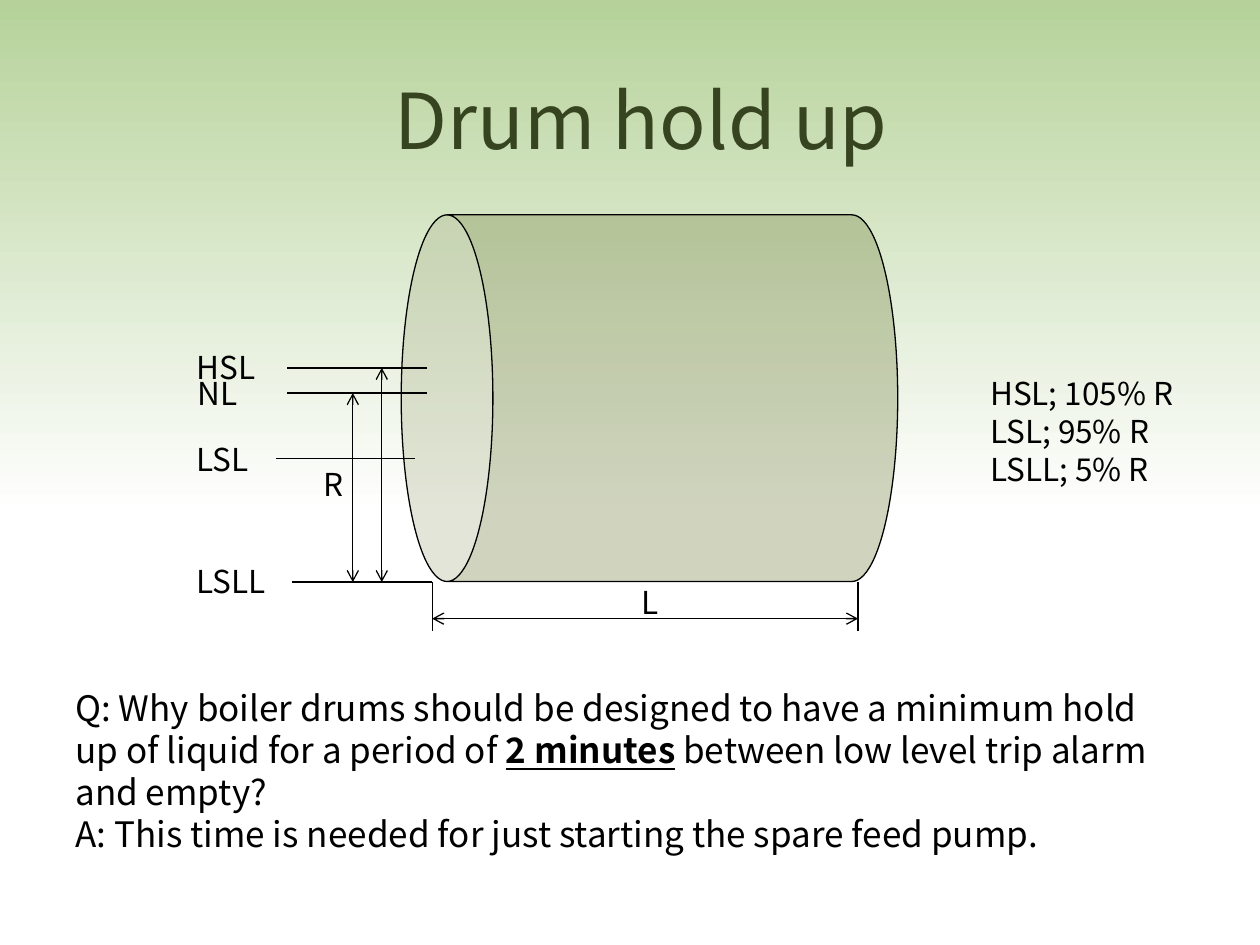
from dataclasses import dataclass

from lxml import etree
from pptx import Presentation
from pptx.dml.color import RGBColor
from pptx.enum import shapes, text
from pptx.oxml.ns import qn
from pptx.util import Inches, Pt


@dataclass(frozen=True)
class Theme:
    font: str = "Noto Sans CJK KR"
    ink: str = "000000"
    heading: str = "374420"
    sky_top: str = "B6D29A"
    sky_bottom: str = "FFFFFF"
    drum: str = "798547"
    drum_alpha: int = 35
    line_width: float = 0.75
    title_size: int = 44
    body_size: int = 20
    label_size: int = 18


@dataclass(frozen=True)
class Span:
    words: str
    strong: bool = False


@dataclass(frozen=True)
class TextBlock:
    left: float
    top: float
    width: float
    height: float
    paragraphs: tuple[tuple[Span, ...], ...]
    wrap: bool = False


@dataclass(frozen=True)
class Rule:
    start: tuple[float, float]
    end: tuple[float, float]
    arrows: bool = False


THEME = Theme()

HIGH, NORMAL, LOW, EMPTY = 2.92, 3.12, 3.64, 4.62
DRUM_LEFT, DRUM_RIGHT = 3.43, 6.81
LENGTH_Y, WITNESS_END = 4.91, 5.01
LABEL_HEIGHT = 0.4

RULES = (
    Rule((2.32, EMPTY), (DRUM_LEFT, EMPTY)),
    Rule((2.28, NORMAL), (3.39, NORMAL)),
    Rule((2.19, LOW), (3.29, LOW)),
    Rule((2.28, HIGH), (3.39, HIGH)),
    Rule((2.8, NORMAL), (2.8, EMPTY), arrows=True),
    Rule((3.03, HIGH), (3.03, EMPTY), arrows=True),
    Rule((DRUM_LEFT, EMPTY), (DRUM_LEFT, WITNESS_END)),
    Rule((DRUM_RIGHT, EMPTY), (DRUM_RIGHT, WITNESS_END)),
    Rule((DRUM_LEFT, LENGTH_Y), (DRUM_RIGHT, LENGTH_Y), arrows=True),
)


def label(words: str, left: float, top: float, width: float) -> TextBlock:
    return TextBlock(left, top, width, LABEL_HEIGHT, ((Span(words),),))


LABELS = (
    label("R", 2.47, 3.64, 0.37),
    label("L", 4.99, 4.58, 0.34),
    label("LSL", 1.46, 3.44, 0.63),
    label("LSLL", 1.46, 4.41, 0.77),
    label("NL", 1.47, 2.92, 0.52),
    label("HSL", 1.46, 2.71, 0.68),
    TextBlock(7.76, 2.92, 1.76, 1.31, (
        (Span("HSL; 105% R"),),
        (Span("LSL; 95% R"),),
        (Span("LSLL; 5% R"),),
    )),
)

TITLE = TextBlock(0.66, 0.32, 9, 1.25, ((Span("Drum hold up "),),), wrap=True)

QUESTION = TextBlock(0.5, 5.4, 9, 1.45, (
    (
        Span("Q: Why boiler drums should be designed to have a minimum hold "
             "up of liquid for a period of "),
        Span("2 minutes", strong=True),
        Span(" between low level trip alarm and empty?"),
    ),
    (Span("A: This time is needed for just starting the spare feed pump."),),
), wrap=True)


def color(value: str) -> RGBColor:
    return RGBColor.from_string(value)


def add_text(page, block: TextBlock, size: int, ink: str = THEME.ink,
             align=text.PP_ALIGN.LEFT, anchor=text.MSO_ANCHOR.TOP) -> None:
    box = page.shapes.add_textbox(Inches(block.left), Inches(block.top),
                                  Inches(block.width), Inches(block.height))
    frame = box.text_frame
    frame.word_wrap = block.wrap
    frame.vertical_anchor = anchor
    for index, spans in enumerate(block.paragraphs):
        para = frame.add_paragraph() if index else frame.paragraphs[0]
        para.alignment = align
        para.font.name = THEME.font
        para.font.size = Pt(size)
        para.font.color.rgb = color(ink)
        for span in spans:
            run = para.add_run()
            run.text = span.words
            if span.strong:
                run.font.bold = True
                run.font.underline = True


def add_rule(page, rule: Rule) -> None:
    connector = page.shapes.add_connector(
        shapes.MSO_CONNECTOR.STRAIGHT,
        *(Inches(value) for value in rule.start + rule.end))
    connector.line.color.rgb = color(THEME.ink)
    connector.line.width = Pt(THEME.line_width)
    if rule.arrows:
        outline = connector.line._get_or_add_ln()
        for end in ("a:headEnd", "a:tailEnd"):
            etree.SubElement(outline, qn(end), type="arrow")
    etree.SubElement(connector._element.spPr, qn("a:effectLst"))


def add_backdrop(page) -> None:
    backdrop = page.shapes.add_shape(shapes.MSO_SHAPE.RECTANGLE, 0, 0,
                                     Inches(10), Inches(4.08))
    backdrop.shadow.inherit = False
    backdrop.line.fill.background()
    backdrop.fill.gradient()
    backdrop.fill.gradient_angle = 270
    for stop, value in zip(backdrop.fill.gradient_stops,
                           (THEME.sky_top, THEME.sky_bottom)):
        stop.color.rgb = color(value)


def add_drum(page) -> None:
    """Draw the translucent cylinder lying on its side."""
    drum = page.shapes.add_shape(shapes.MSO_SHAPE.CAN, Inches(3.7), Inches(1.19),
                                 Inches(2.91), Inches(3.94))
    drum.rotation = 270
    drum.shadow.inherit = False
    drum.fill.solid()
    drum.fill.fore_color.rgb = color(THEME.drum)
    tint = drum._element.spPr.find(qn("a:solidFill")).find(qn("a:srgbClr"))
    etree.SubElement(tint, qn("a:alpha"), val=str(THEME.drum_alpha * 1000))
    drum.line.color.rgb = color(THEME.ink)
    drum.line.width = Pt(THEME.line_width)


def main() -> None:
    deck = Presentation()
    deck.slide_width, deck.slide_height = Inches(10), Inches(7.5)
    page = deck.slides.add_slide(deck.slide_layouts[6])
    add_backdrop(page)
    add_text(page, TITLE, THEME.title_size, THEME.heading,
             text.PP_ALIGN.CENTER, text.MSO_ANCHOR.MIDDLE)
    add_text(page, QUESTION, THEME.body_size)
    add_drum(page)
    for rule in RULES:
        add_rule(page, rule)
    for block in LABELS:
        add_text(page, block, THEME.label_size)
    deck.save("out.pptx")


if __name__ == "__main__":
    main()
